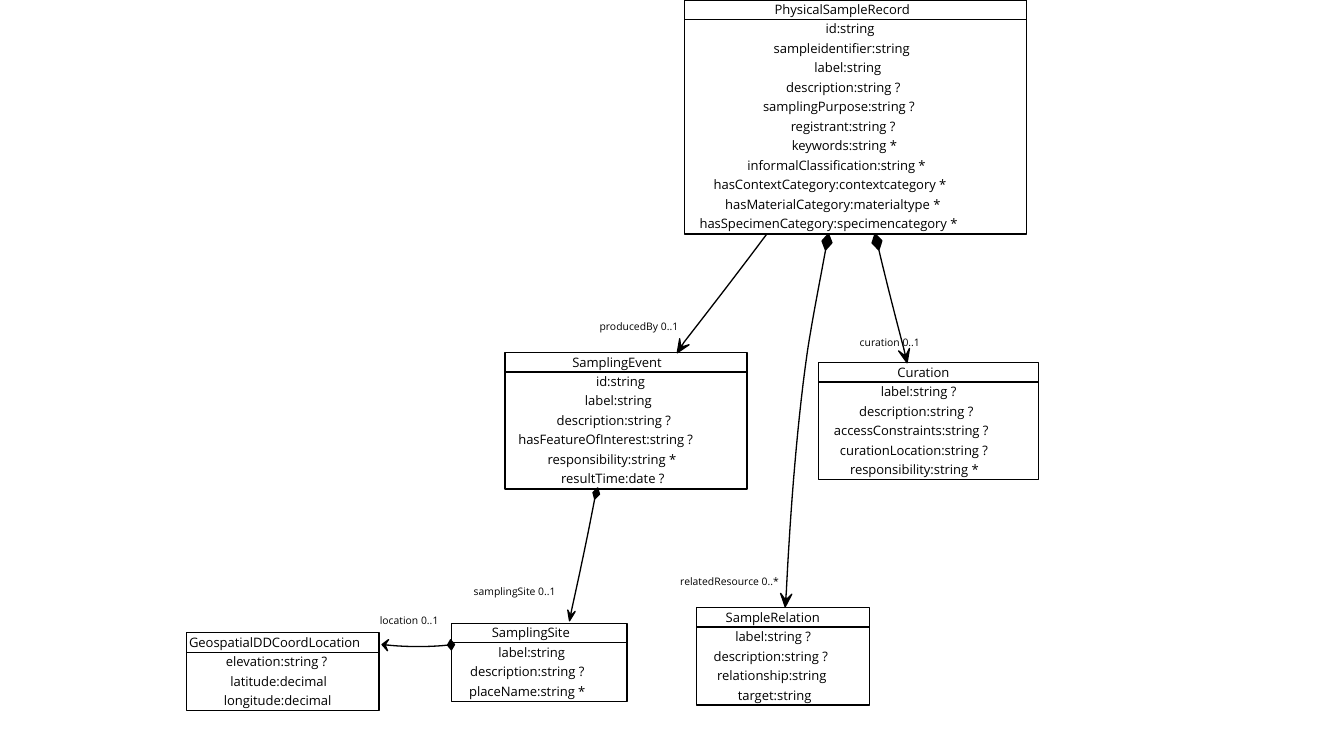
"""Draw a UML class diagram of a physical sample record and its parts."""
from math import hypot
from pptx import Presentation
from pptx.dml.color import RGBColor
from pptx.enum.shapes import MSO_CONNECTOR
from pptx.oxml.ns import qn
from pptx.util import Pt
from lxml import etree

FONT, INK, PAPER = "Open Sans", "000000", "FFFFFF"
ROW, STROKE = 13.92, 0.93
ROW_SIZE, LABEL_SIZE = 9.3, 7.4

# left, top, width, shift of the text axis, then (text, text width) rows
CLASSES = [
    (133.2, 452, 137.5, 4.5, [
        ("GeospatialDDCoordLocation", 157), ("elevation:string ?", 104.4),
        ("latitude:decimal", 97.9), ("longitude:decimal", 107.3)]),
    (322.6, 445.2, 125.3, 0, [
        ("SamplingSite", 82.1), ("label:string", 72.7),
        ("description:string ?", 113), ("placeName:string *", 114.5)]),
    (360.7, 251.8, 172.8, 0, [
        ("SamplingEvent", 90.7), ("id:string", 56.9), ("label:string", 72.7),
        ("description:string ?", 113), ("hasFeatureOfInterest:string ?", 167.8),
        ("responsibility:string *", 126), ("resultTime:date ?", 106.6)]),
    (489, 0, 244.1, 0, [
        ("PhysicalSampleRecord", 129.6), ("id:string", 56.9),
        ("sampleidentifier:string", 131), ("label:string", 72.7),
        ("description:string ?", 113), ("samplingPurpose:string ?", 146.2),
        ("registrant:string ?", 106.6), ("keywords:string *", 105.1),
        ("informalClassification:string *", 168.5),
        ("hasContextCategory:contextcategory *", 216.7),
        ("hasMaterialCategory:materialtype *", 200.2),
        ("hasSpecimenCategory:specimencategory *", 236.9)]),
    (497.5, 434, 123.4, 0, [
        ("SampleRelation", 95.8), ("label:string ?", 82.1),
        ("description:string ?", 113), ("relationship:string", 108),
        ("target:string", 78.5)]),
    (584.6, 259, 157, 0, [
        ("Curation", 58.3), ("label:string ?", 82.1),
        ("description:string ?", 113), ("accessConstraints:string ?", 149),
        ("curationLocation:string ?", 140.4), ("responsibility:string *", 126)]),
]

RELATIONS = [
    dict(label="location 0..1", at=(264.2, 434.9), owner=(324.7, 460.4), tip=(272.9, 460.4),
         half=4, curve=[(319.7, 460.8), (307.4, 462.2), (290.2, 462.2), (277.2, 460.8)]),
    dict(label="samplingSite 0..1", at=(331.2, 414.7), owner=(427, 348.5), tip=(406.8, 443.5),
         half=2.7, curve=[(424.8, 356.4), (419.8, 383), (413.3, 413.3), (408.2, 436.3)]),
    dict(label="producedBy 0..1", at=(421.2, 225.4), owner=None, tip=(483.8, 252),
         half=4, curve=[(547.9, 167), (528.5, 193), (506.9, 221), (488.9, 244.1)]),
    dict(label="relatedResource 0..*", at=(478.8, 407.5), owner=(591.8, 167), tip=(560.9, 433.4),
         half=4, curve=[(589.7, 178.6), (585.4, 202.3), (580.3, 227.5), (576.7, 251.3),
                        (568.1, 311), (563.8, 380.2), (561.6, 424.1)]),
    dict(label="curation 0..1", at=(607, 236.2), owner=(625, 167), tip=(648, 259.2),
         half=4, curve=[(627.8, 178.6), (633.6, 203), (640.1, 228.2), (645.8, 249.8)]),
]

prs = Presentation()
prs.slide_width, prs.slide_height = Pt(960), Pt(540)
shapes = prs.slides.add_slide(prs.slide_layouts[6]).shapes


def color(value):
    return RGBColor.from_string(value)


def stroke(shape):
    shape.line.color.rgb = color(INK)
    shape.line.width = Pt(STROKE)


def add_text(text, left, top, width, size):
    box = shapes.add_textbox(Pt(left), Pt(top), Pt(width), Pt(18))
    box.text_frame.word_wrap = True
    run = box.text_frame.paragraphs[0].add_run()
    run.text = text
    run.font.name, run.font.size = FONT, Pt(size)
    run.font.color.rgb = color(INK)


def add_outline(points, fill=None):
    scaled = [(x * 100, y * 100) for x, y in points]
    builder = shapes.build_freeform(*scaled[0], scale=Pt(1) / 100)
    builder.add_line_segments(scaled[1:], close=fill is not None)
    shape = builder.convert_to_shape()
    shape.shadow.inherit = False
    stroke(shape)
    if fill:
        shape.fill.solid()
        shape.fill.fore_color.rgb = color(fill)
    else:
        shape.fill.background()


def add_class(left, top, width, shift, rows):
    height = ROW * len(rows)
    right, bottom = left + width, top + height
    add_outline([(left, top), (right, top), (right, bottom), (left, bottom)], PAPER)
    rule = shapes.add_connector(MSO_CONNECTOR.STRAIGHT, Pt(left), Pt(top + ROW),
                                Pt(right), Pt(top + ROW))
    stroke(rule)
    etree.SubElement(rule._element.spPr, qn("a:effectLst"))
    axis = left + width / 2 + shift
    for i, (text, text_width) in enumerate(rows):
        add_text(text, axis - text_width / 2, top - 2.5 + i * ROW, text_width, ROW_SIZE)


def bezier(points, steps=16):
    path = [points[0]]
    for k in range(0, len(points) - 1, 3):
        a, b, c, d = points[k:k + 4]
        for n in range(1, steps + 1):
            t = n / steps
            u = 1 - t
            path.append(tuple(u**3 * p + 3 * u * u * t * q + 3 * u * t * t * r + t**3 * s
                              for p, q, r, s in zip(a, b, c, d)))
    return path


def sides(start, end, along, half):
    """Return the middle point and the two points beside it."""
    dx, dy = end[0] - start[0], end[1] - start[1]
    length = hypot(dx, dy)
    x, y = start[0] + dx * along, start[1] + dy * along
    nx, ny = -dy / length * half, dx / length * half
    return (x, y), (x + nx, y + ny), (x - nx, y - ny)


def add_relation(label, at, owner, tip, half, curve):
    add_outline(bezier(curve))
    if owner:
        _, one, other = sides(curve[0], owner, 0.5, half * 0.9)
        add_outline([curve[0], one, owner, other], INK)
    base, one, other = sides(curve[-1], tip, 0, half)
    notch = sides(curve[-1], tip, 0.5, 0)[0]
    add_outline([tip, one, notch, base, notch, other], INK)
    add_text(label, *at, 96, LABEL_SIZE)


for uml_class in CLASSES:
    add_class(*uml_class)
for relation in RELATIONS:
    add_relation(**relation)

prs.save("out.pptx")
